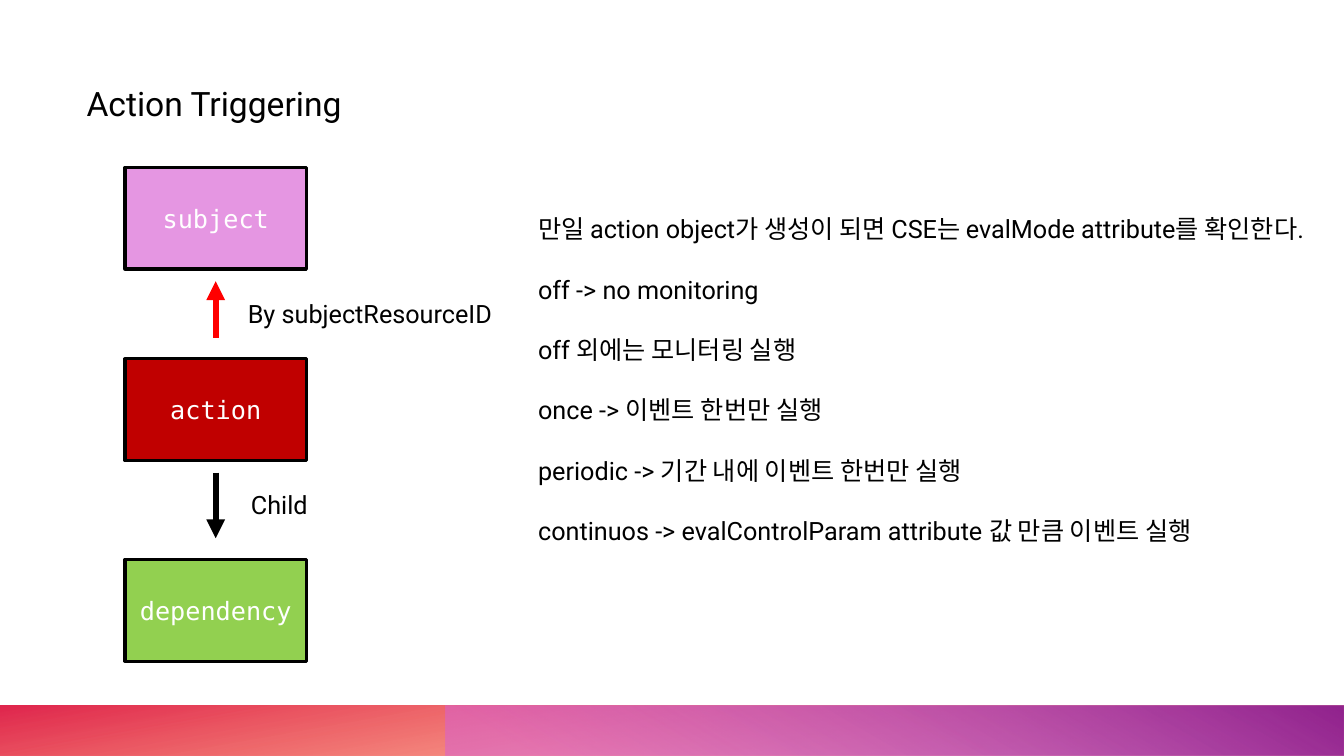
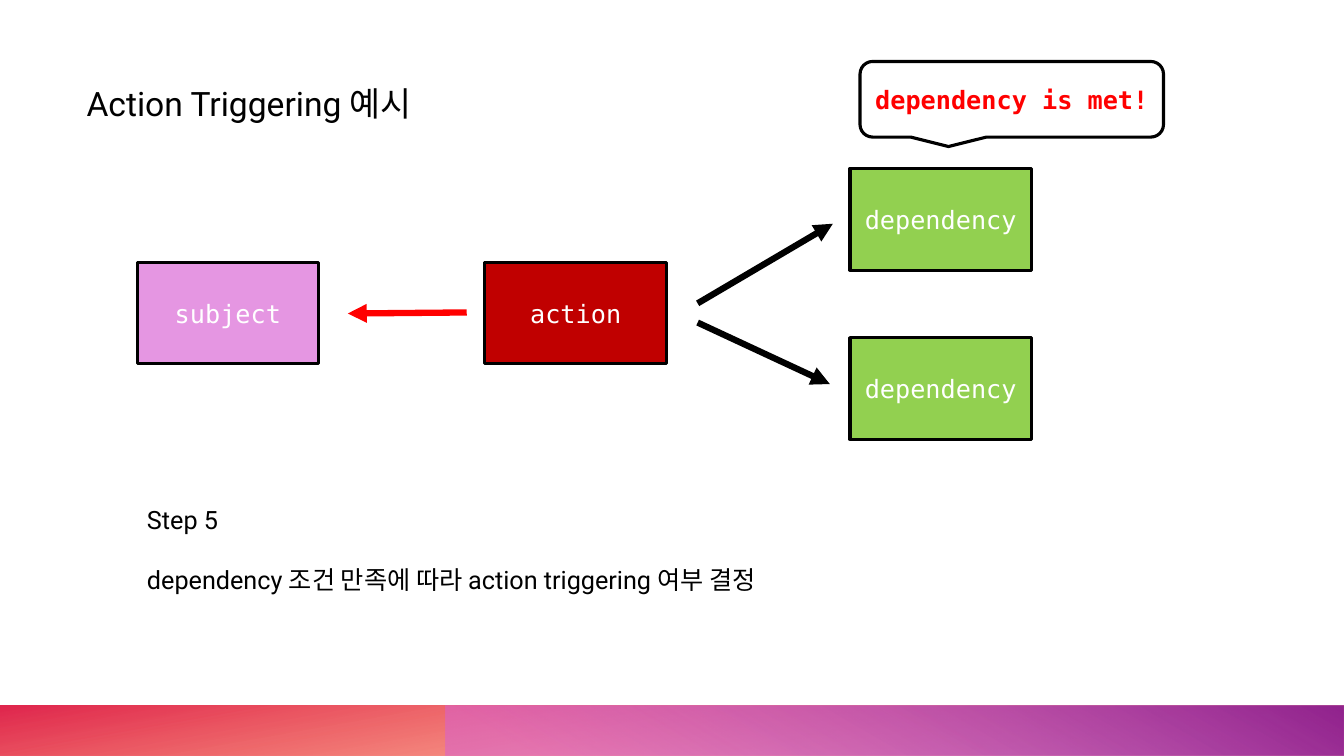
from lxml import etree
from pptx import Presentation
from pptx.dml.color import RGBColor
from pptx.enum.shapes import MSO_CONNECTOR, MSO_SHAPE
from pptx.enum.text import MSO_ANCHOR, PP_ALIGN
from pptx.oxml import parse_xml
from pptx.oxml.ns import nsdecls, qn
from pptx.util import Inches, Pt

RECT = MSO_SHAPE.RECTANGLE
BUBBLE = MSO_SHAPE.ROUNDED_RECTANGULAR_CALLOUT
LINE = MSO_CONNECTOR.STRAIGHT
LEFT, CENTER = PP_ALIGN.LEFT, PP_ALIGN.CENTER
TOP, MIDDLE = MSO_ANCHOR.TOP, MSO_ANCHOR.MIDDLE

WIDE, HIGH = Inches(13.33), Inches(7.5)
SANS, MONO = "Roboto", "DejaVu Sans Mono"
BLACK, WHITE, RED = "000000", "FFFFFF", "FF0000"
FILLS = {"subject": "E596E2", "action": "C00000", "dependency": "92D050"}
BOX_W, BOX_H = 13.5, 13.47
GAP = 21.5  # points between paragraphs


def color(code):
    return RGBColor.from_string(code)


# Places are percentages of the slide's width and height
def place(x, y):
    return round(WIDE * x / 100), round(HIGH * y / 100)


def write(shape, lines, size=18, face=SANS, ink=BLACK, bold=False,
          align=LEFT, anchor=TOP, gap=0):
    frame = shape.text_frame
    frame.word_wrap = True
    frame.vertical_anchor = anchor
    for i, line in enumerate(lines):
        para = frame.add_paragraph() if i else frame.paragraphs[0]
        para.alignment = align
        para.space_before = Pt(gap if i else 0)
        run = para.add_run()
        run.text = line
        font = run.font
        font.size, font.name, font.bold = Pt(size), face, bold
        font.color.rgb = color(ink)


def label(slide, x, y, w, h, *lines, **style):
    box = slide.shapes.add_textbox(*place(x, y), *place(w, h))
    write(box, lines, **style)


def panel(slide, kind, x, y, w, h, text, fill=None, **style):
    shape = slide.shapes.add_shape(kind, *place(x, y), *place(w, h))
    shape.shadow.inherit = False
    if fill:
        shape.fill.solid()
        shape.fill.fore_color.rgb = color(fill)
    else:
        shape.fill.background()
    shape.line.color.rgb = color(BLACK)
    shape.line.width = Pt(2.25)
    write(shape, [text], face=MONO, align=CENTER, anchor=MIDDLE, **style)


def node(slide, name, x, y):
    panel(slide, RECT, x, y, BOX_W, BOX_H, name, FILLS[name], ink=WHITE)


def arrow(slide, start, end, ink=BLACK):
    link = slide.shapes.add_connector(LINE, *place(*start), *place(*end))
    link.line.color.rgb = color(ink)
    link.line.width = Pt(4.5)
    tip = etree.SubElement(link.line._get_or_add_ln(), qn("a:tailEnd"))
    tip.set("type", "triangle")
    etree.SubElement(link._element.spPr, qn("a:effectLst"))


# Footer band: mirrored rectangle with stops of (position, colour, opacity)
def band(slide, x, angle, stops, turn=0):
    shape = slide.shapes.add_shape(RECT, *place(x, 93.33),
                                   *place(100 - x, 6.67))
    shape.shadow.inherit = False
    shape.line.fill.background()
    shape.rotation = turn
    props = shape._element.spPr
    props.find(qn("a:xfrm")).set("flipH", "1")
    marks = "".join(
        f'<a:gs pos="{pos * 1000}"><a:srgbClr val="{code}">'
        f'<a:alpha val="{alpha * 1000}"/></a:srgbClr></a:gs>'
        for pos, code, alpha in stops)
    fill = parse_xml(
        f'<a:gradFill {nsdecls("a")} rotWithShape="1"><a:gsLst>{marks}'
        f'</a:gsLst><a:lin ang="{angle * 60000}" scaled="0"/></a:gradFill>')
    props.find(qn("a:prstGeom")).addnext(fill)


def page(deck, title):
    slide = deck.slides.add_slide(deck.slide_layouts[6])
    band(slide, 0, 100, [(14, "FE4A00", 28), (100, "DA002F", 85)], turn=180)
    band(slide, 33.15, 240, [(9, "D861D4", 55), (99, "92248E", 100)])
    label(slide, 5.7, 10.27, 32, 6.67, title, size=24)
    return slide


def modes(deck):
    slide = page(deck, "Action Triggering")
    # Column of resources
    left = 9.3
    mid = left + BOX_W / 2
    for name, y in zip(FILLS, (22.13, 47.47, 74)):
        node(slide, name, left, y)
    arrow(slide, (mid, 44.67), (mid, 37.2), RED)
    arrow(slide, (mid, 62.53), (mid, 71.2))
    label(slide, 17.7, 38.8, 22, 5.33, "By subjectResourceID")
    label(slide, 17.93, 64.13, 22, 5.33, "Child")
    # Evaluation modes
    label(slide, 39.3, 27.6, 59.33, 45.73,
          "만일 action object가 생성이 되면 CSE는 evalMode attribute를 확인한다.",
          "off -> no monitoring",
          "off 외에는 모니터링 실행",
          "once -> 이벤트 한번만 실행",
          "periodic -> 기간 내에 이벤트 한번만 실행",
          "continuos -> evalControlParam attribute 값 만큼 이벤트 실행",
          gap=GAP)


def example(deck):
    slide = page(deck, "Action Triggering 예시")
    # Resources and their links
    node(slide, "subject", 10.2, 34.67)
    node(slide, "action", 36.08, 34.67)
    for y in (22.27, 44.67):
        node(slide, "dependency", 63.24, y)
    arrow(slide, (34.73, 41.33), (25.88, 41.47), RED)
    arrow(slide, (51.91, 40.13), (61.97, 29.6))
    arrow(slide, (51.91, 42.67), (61.74, 50.8))
    panel(slide, BUBBLE, 63.99, 8.13, 22.58, 10, "dependency is met!",
          ink=RED, bold=True)
    # Step note
    label(slide, 10.2, 66, 81.5, 13.47, "Step 5",
          "dependency 조건 만족에 따라 action triggering 여부 결정", gap=GAP)


def main():
    deck = Presentation()
    deck.slide_width, deck.slide_height = WIDE, HIGH
    modes(deck)
    example(deck)
    deck.save("out.pptx")


if __name__ == "__main__":
    main()
